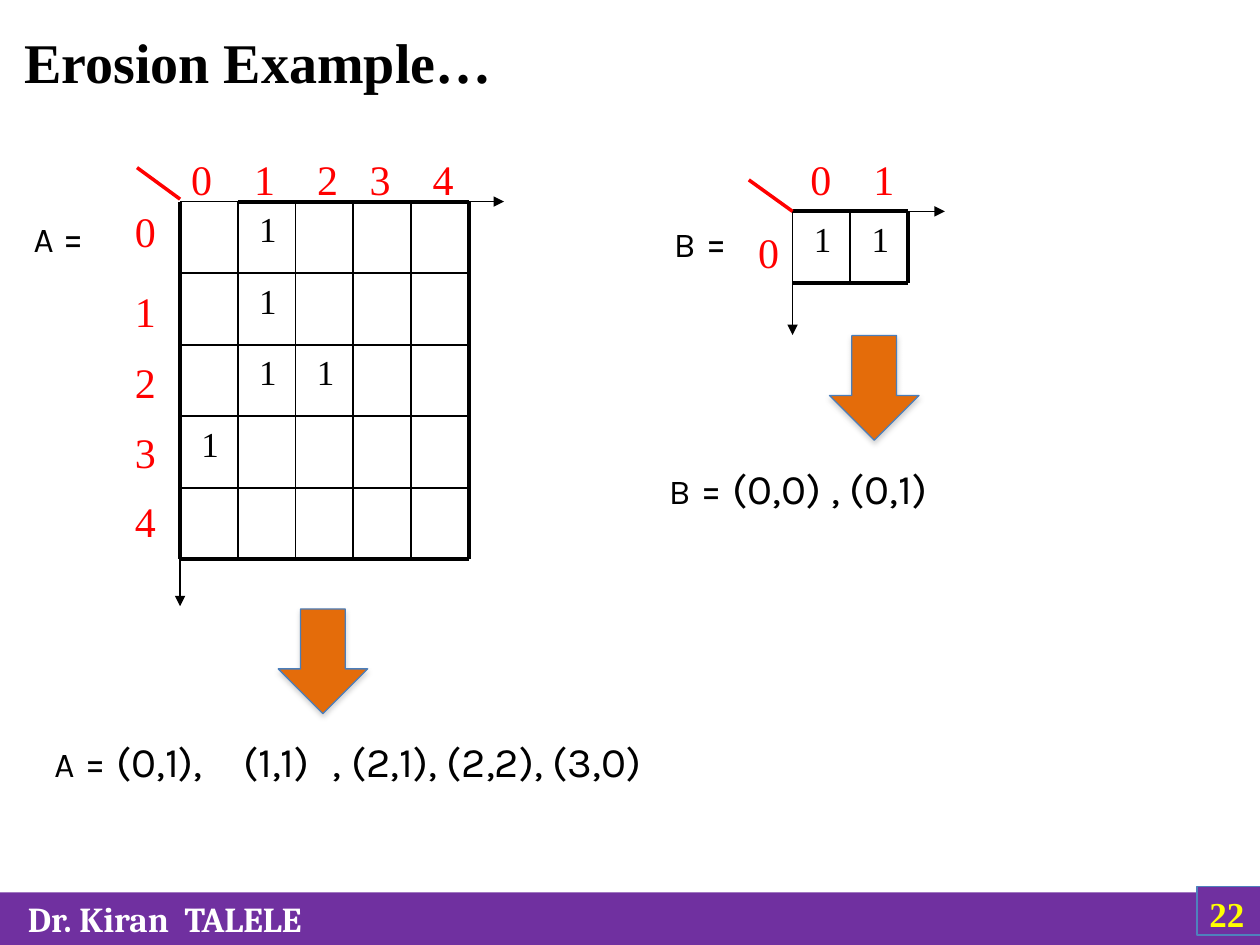
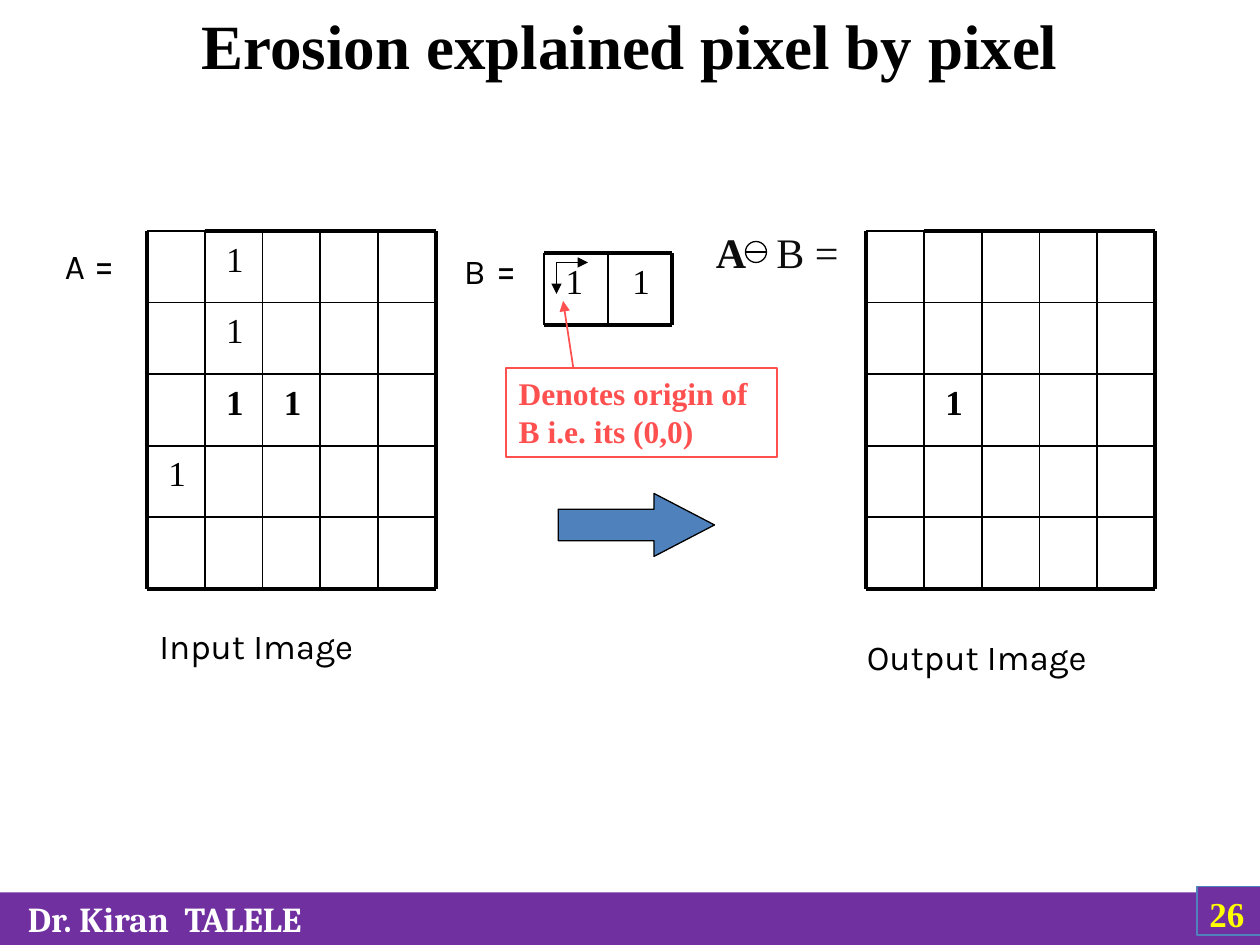
from lxml.etree import SubElement as Sub
from pptx import Presentation
from pptx.dml.color import RGBColor
from pptx.enum.shapes import MSO_CONNECTOR as Link, MSO_SHAPE as Kind
from pptx.enum.text import MSO_ANCHOR as Anchor, PP_ALIGN as Align
from pptx.oxml.ns import qn
from pptx.util import Pt

SERIF, SANS, FOOT = "Times New Roman", "Karla", "Cambria"
BLACK, RED, CORAL, INK = "000000", "FF0000", "FF5050", "0D0D0D"
PURPLE, BLUE, EDGE, ORANGE = "7030A0", "4F81BD", "4A7EBB", "E46C0A"
WHITE, YELLOW = "FFFFFF", "FFFF00"
THIN, THICK = 1, 2.25
COL, ROW = 33, 40.9  # one pixel of the sample image

# Sample image A and structuring element B; a dot is an empty pixel
IMAGE = [".1...", ".1...", ".11..", "1....", "....."]
MASK = ["11"]
RESULT = [".....", ".....", ".1...", ".....", "....."]


def color(code):
    return RGBColor.from_string(code)


class Deck:
    def __init__(self):
        self.show = Presentation()
        self.show.slide_width, self.show.slide_height = Pt(720), Pt(540)
        self.slide = None

    def page(self, title, num, size, left, top, width, height):
        """Start a slide with its title, footer band and number."""
        self.slide = self.show.slides.add_slide(self.show.slide_layouts[6])
        self.text(left, top, width, height, [[(title, size)]], bold=True,
                  align=Align.CENTER)
        self.shape(Kind.RECTANGLE, 0, 510, 720, 30, PURPLE)
        self.text(0, 510, 720, 30, [[("Dr. Kiran\tTALELE", 20)]], FOOT, WHITE,
                  True, mid=True, inset=16, tabs=[89.5])
        self.shape(Kind.RECTANGLE, 684, 506.4, 41.8, 28, PURPLE, BLUE)
        self.text(684, 508, 41.8, 28, [[(num, 20)]], SERIF, YELLOW, True,
                  mid=True)

    def text(self, left, top, width, height, paras, font=SERIF, ink=BLACK,
             bold=False, mid=False, align=Align.LEFT, inset=7.2, tabs=(),
             gaps=()):
        """Add a text box; paras is a list of lists of (words, size)."""
        box = self.slide.shapes.add_textbox(Pt(left), Pt(top), Pt(width),
                                            Pt(height))
        frame = box.text_frame
        frame.word_wrap = True
        frame.margin_left = Pt(inset)
        frame.vertical_anchor = Anchor.MIDDLE if mid else Anchor.TOP
        for i, runs in enumerate(paras):
            para = frame.add_paragraph() if i else frame.paragraphs[0]
            para.alignment = align
            if tabs:
                stops = Sub(para._p.get_or_add_pPr(), qn("a:tabLst"))
                for stop in tabs:
                    Sub(stops, qn("a:tab"), pos=str(Pt(stop)), algn="l")
            if i and gaps:
                para.space_before = Pt(gaps[i - 1])
            for words, size, *heavy in runs:
                run = para.add_run()
                run.text = words
                run.font.size, run.font.name = Pt(size), font
                run.font.bold = heavy[0] if heavy else bold
                run.font.color.rgb = color(ink)
        return box

    def label(self, left, top, width, name, rest="", size=20):
        """Add a middle-anchored caption or equation."""
        runs = [(name, size)] + ([(rest, 24)] if rest else [])
        self.text(left, top, width, 42, [runs], SANS, mid=True)

    def shape(self, kind, left, top, width, height, fill=None, edge=None):
        item = self.slide.shapes.add_shape(kind, Pt(left), Pt(top), Pt(width),
                                           Pt(height))
        item.shadow.inherit = False
        if fill:
            item.fill.solid()
            item.fill.fore_color.rgb = color(fill)
        else:
            item.fill.background()
        if edge:
            item.line.color.rgb = color(edge)
            item.line.width = Pt(0.75)
        else:
            item.line.fill.background()
        return item

    def drop(self, left, top):
        """Add an orange down arrow with a soft shadow."""
        item = self.shape(Kind.DOWN_ARROW, left, top, 51.1, 59.8, ORANGE, EDGE)
        glow = Sub(item._element.spPr.find(qn("a:effectLst")),
                   qn("a:outerShdw"), blurRad=str(Pt(3.1)), dist=str(Pt(1.8)),
                   dir="5400000", rotWithShape="0")
        tint = Sub(glow, qn("a:srgbClr"), val="808080")
        Sub(tint, qn("a:alpha"), val="35000")

    def line(self, x1, y1, x2, y2, ink=BLACK, width=0.75, head=False):
        link = self.slide.shapes.add_connector(Link.STRAIGHT, Pt(x1), Pt(y1),
                                               Pt(x2), Pt(y2))
        link.line.color.rgb = color(ink)
        link.line.width = Pt(width)
        props = link._element.spPr
        if head:
            Sub(props.find(qn("a:ln")), qn("a:tailEnd"), type="triangle")
        Sub(props, qn("a:effectLst"))

    def axes(self, left, top, across, down):
        """Add a pair of arrows that start at one origin."""
        self.line(left, top, left + across, top, head=True)
        self.line(left, top, left, top + down, head=True)

    def grid(self, left, top, rows, bold=None, col=COL, step=None):
        """Rule a pixel grid and write its marks, step points apart."""
        tall, wide = len(rows), len(rows[0])
        right, base = left + col * wide, top + ROW * tall
        for r, row in enumerate(rows):
            for c, mark in enumerate(row):
                if mark == "1":
                    self.text(left + c * (step or col), top + r * ROW, COL,
                              ROW, [[(mark, 20)]], bold=r == bold, inset=12.2)
        for r in range(1, tall + 1):
            y = top + r * ROW
            self.line(left, y, right, y, width=THIN if r < tall else THICK)
        for c in range(wide + 1):
            x = left + c * col
            heavy = c == wide or (c == 0 and tall > 1)
            self.line(x, top, x, base, width=THICK if heavy else THIN)
        # A full image has a thin rule over its first pixel
        start = left
        if tall > 1:
            start += col
            self.line(left, top, start, top, width=THIN)
        self.line(start, top, right, top, width=THICK)


def sets(deck):
    """Slide 1: both images as sets of coordinates."""
    deck.page("Erosion Example…", "22", 32, -16, 12, 327, 48)

    # Image A with its axes and indices
    deck.grid(102.9, 115.2, IMAGE)
    deck.axes(102.9, 115.2, 185.1, 231.2)
    deck.line(78.3, 95.8, 102.9, 113.8, RED, 2)
    deck.label(12.2, 113.8, 66, "A ", "=")
    deck.text(70, 113.8, 36, 204, [[(n, 24)] for n in "01234"], ink=RED,
              gaps=[17, 11.5, 11.5, 10.8])
    deck.text(102.2, 83.9, 186, 37, [[("\t".join("01234"), 24)]], ink=RED,
              tabs=[36, 72, 102, 138])

    # Element B with its axes and indices
    deck.grid(452.9, 120.8, MASK)
    deck.axes(452.9, 120.8, 87, 70.7)
    deck.line(427.9, 102.8, 452.9, 120.8, RED, 2)
    deck.label(378, 116.6, 57, "B", " =")
    deck.text(426.2, 126, 36, 37, [[("0", 24)]], ink=RED)
    deck.text(456, 83.9, 72, 37, [[("\t".join("01"), 24)]], ink=RED,
              tabs=[36])

    # Coordinates of the set pixels
    deck.drop(159, 348)
    deck.drop(474, 191.8)
    deck.label(375.2, 257.6, 195, "B", " = (0,0) , (0,1)")
    deck.label(24, 413.7, 120, "A", " = (0,1),")
    deck.label(132, 413.7, 72, "(1,1)", size=24)
    deck.label(183, 413.7, 204.5, ", (2,1), (2,2), (3,0)", size=24)


def pixels(deck):
    """Slide 2: input, element and eroded output."""
    deck.page("Erosion explained pixel by pixel", "26", 36, 0, 0, 720, 60)

    # Input and output images
    deck.grid(84, 132, IMAGE, bold=2)
    deck.grid(495, 132, RESULT, bold=2)
    deck.label(30, 129.2, 66, "A ", "=")
    deck.label(84, 348, 172, "Input Image")
    deck.label(488.3, 354, 172, "Output Image")

    # Element B and its origin
    deck.grid(311, 144.7, MASK, col=36.5, step=38.2)
    deck.label(258, 132, 57, "B", " =")
    deck.axes(318, 150, 18, 18)
    note = deck.text(289.3, 210.2, 154.8, 51,
                     [[("Denotes origin of B i.e. its (0,0)", 18)]],
                     ink=CORAL, bold=True)
    note.line.color.rgb = color(CORAL)
    note.line.width = Pt(1)
    deck.line(327.6, 210.2, 321.8, 172, CORAL, 1, head=True)

    # Step arrow
    step = deck.shape(Kind.RIGHT_ARROW, 319, 282, 89.3, 36, BLUE, BLACK)
    step.adjustments[0], step.adjustments[1] = 0.5, 0.96

    # Erosion sign between A and B
    deck.text(402, 126, 85, 36, [[("A\t", 24, True), ("B =", 24)]], ink=INK,
              tabs=[34.5])
    deck.shape(Kind.OVAL, 426, 138, 12, 12, edge=BLACK)
    deck.line(426, 144, 438, 144)


def main():
    deck = Deck()
    sets(deck)
    pixels(deck)
    deck.show.save("out.pptx")


if __name__ == "__main__":
    main()
